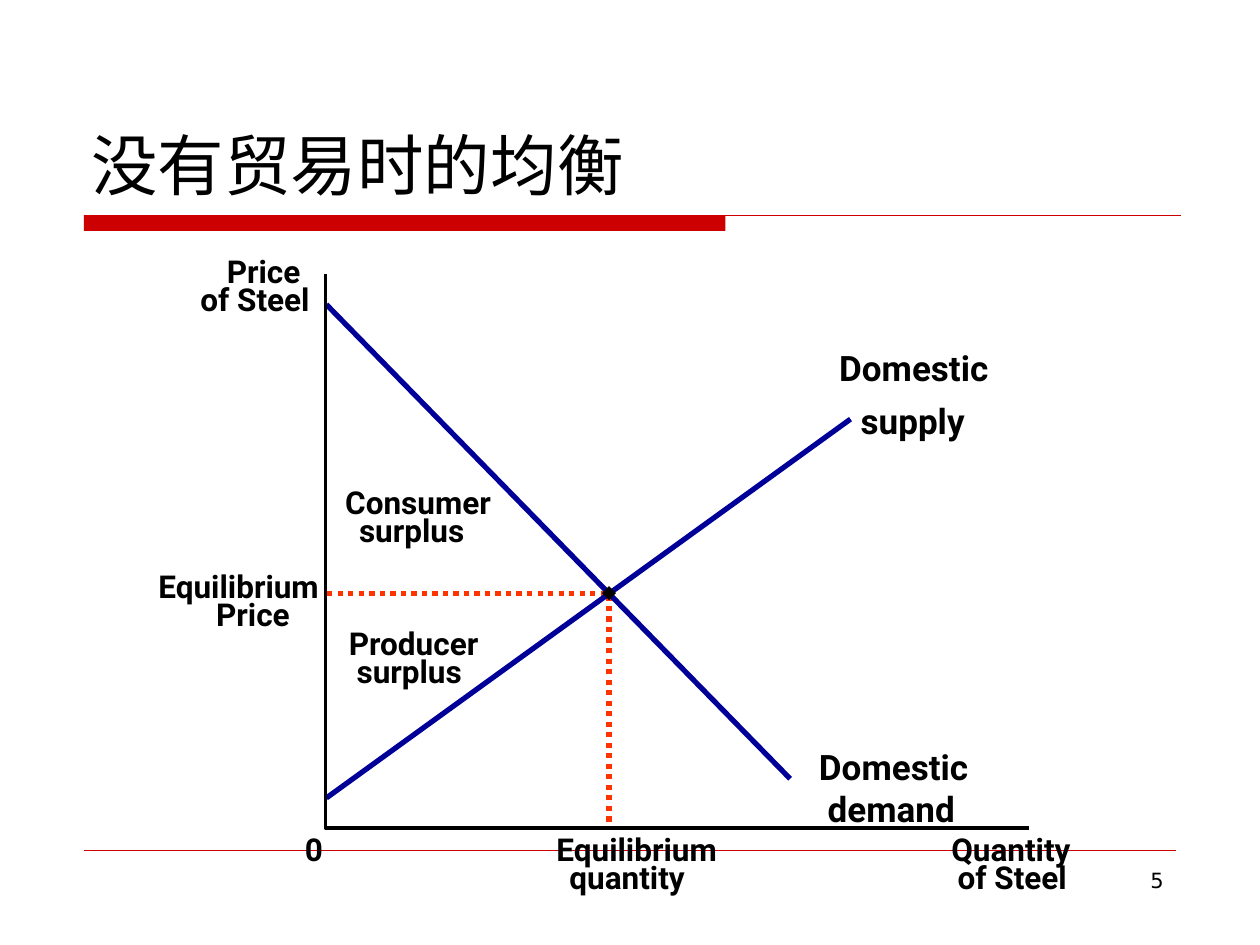
from lxml.etree import SubElement
from pptx import Presentation
from pptx.dml.color import RGBColor
from pptx.enum.dml import MSO_LINE
from pptx.enum.shapes import MSO_CONNECTOR, MSO_SHAPE
from pptx.enum.text import MSO_ANCHOR, PP_ALIGN
from pptx.oxml.ns import qn
from pptx.util import Pt

TITLE = "没有贸易时的均衡"
PAGE = "5"
RED, BLUE, ORANGE, BLACK, WHITE = "CC0000", "000099", "FF3300", "000000", "FFFFFF"
LATIN, SANS = "Roboto", "DejaVu Sans"

# Chart geometry
ORIGIN = (186, 473)
PRICE_TOP = (186, 156.5)
QUANTITY_END = (588, 473)
EQUILIBRIUM = (348, 339)
SUPPLY = ((186.5, 456), (486, 239.5))
DEMAND = ((186.5, 174), (451.5, 445))
DOT = 8

# size, top, line pitch, alignment, [(text, left, width)]
LEFT, RIGHT = PP_ALIGN.LEFT, PP_ALIGN.RIGHT
LABELS = [
    (18, 144, 16, LEFT, [("Price", 129.6, 44.6), ("of Steel", 114.5, 67.7)]),
    (18, 324, 16, RIGHT, [("Equilibrium", 77.8, 104.4), ("Price", 121, 44.6)]),
    (18, 474.5, 16, LEFT, [("0", 174.2, 10)]),
    (18, 474.5, 16, LEFT, [("Quantity", 543.6, 80), ("of Steel", 547.2, 67.7)]),
    (18, 474.5, 16, LEFT, [("Equilibrium", 318, 104.4), ("quantity", 325.4, 77)]),
    (20, 198, 30, LEFT, [("Domestic", 479.5, 93.6), ("supply", 491.8, 66.2)]),
    (20, 426, 24, LEFT, [("Domestic", 468, 93.6), ("demand", 473, 82)]),
    (18, 356.4, 16, LEFT, [("Producer", 199.4, 82), ("surplus", 203.8, 67)]),
    (18, 275.8, 16, LEFT, [("Consumer", 197.3, 91.4), ("surplus", 205.2, 67)]),
]

prs = Presentation()
prs.slide_width, prs.slide_height = Pt(720), Pt(540)
slide = prs.slides.add_slide(prs.slide_layouts[5])
shapes = slide.shapes


def rgb(value):
    return RGBColor.from_string(value)


def paint(sp, fill=None, line=None, width=1):
    sp.shadow.inherit = False
    if fill:
        sp.fill.solid()
        sp.fill.fore_color.rgb = rgb(fill)
    else:
        sp.fill.background()
    if line:
        sp.line.color.rgb = rgb(line)
        sp.line.width = Pt(width)
    else:
        sp.line.fill.background()


def straight(start, end, color, width):
    line = shapes.add_connector(MSO_CONNECTOR.STRAIGHT, *map(Pt, start + end))
    line.line.color.rgb = rgb(color)
    line.line.width = Pt(width)
    SubElement(line._element.spPr, qn("a:effectLst"))


def path_through(points, close=False, **look):
    """Draw a freeform through the points, given in points of length."""
    first, *rest = [(Pt(x), Pt(y)) for x, y in points]
    builder = shapes.build_freeform(*first)
    builder.add_line_segments(rest, close=close)
    sp = builder.convert_to_shape()
    paint(sp, **look)
    return sp


def write(sp, text, size, font, align=LEFT, **frame):
    tf = sp.text_frame
    for name, value in frame.items():
        setattr(tf, name, value)
    p = tf.paragraphs[0]
    p.alignment = align
    r = p.add_run()
    r.text = text
    for name, value in {"size": Pt(size), "name": font, "bold": font == LATIN}.items():
        setattr(r.font, name, value)
    r.font.color.rgb = rgb(BLACK)


def box(left, top, width, height):
    return shapes.add_textbox(Pt(left), Pt(top), Pt(width), Pt(height))


# Title, header rule and footer rule
title = shapes.title
title.left, title.top, title.width, title.height = map(Pt, (45, 24, 630, 96))
write(title, TITLE, 38, SANS, vertical_anchor=MSO_ANCHOR.BOTTOM, word_wrap=True)
bar = shapes.add_shape(MSO_SHAPE.RECTANGLE, Pt(48), Pt(123), Pt(366.5), Pt(9))
paint(bar, fill=RED)
straight((48, 123), (675, 123), RED, 0.75)
straight((48, 486), (672, 486), RED, 0.25)

# Surplus areas between the price axis and each curve
price_point = (ORIGIN[0], EQUILIBRIUM[1])
for curve in (SUPPLY, DEMAND):
    corner = (ORIGIN[0], curve[0][1])
    path_through([EQUILIBRIUM, price_point, corner], close=True, fill=WHITE)

# Guides, labels, curves, axes and equilibrium point
guide = path_through([(187, EQUILIBRIUM[1]), EQUILIBRIUM, (EQUILIBRIUM[0], ORIGIN[1])],
                     line=ORANGE, width=3)
guide.line.dash_style = MSO_LINE.ROUND_DOT

no_margins = dict.fromkeys(
    ("margin_left", "margin_top", "margin_right", "margin_bottom"), 0)
for size, top, pitch, align, lines in LABELS:
    for i, (text, left, width) in enumerate(lines):
        write(box(left, top + i * pitch, width, size * 1.2), text, size, LATIN,
              align, word_wrap=False, **no_margins)

for curve in (SUPPLY, DEMAND):
    straight(*curve, BLUE, 3)
path_through([PRICE_TOP, ORIGIN, QUANTITY_END], line=BLACK, width=2.25)
x, y = EQUILIBRIUM
dot = shapes.add_shape(MSO_SHAPE.DIAMOND, Pt(x - DOT / 2), Pt(y - DOT / 2), Pt(DOT), Pt(DOT))
paint(dot, fill=BLACK)

write(box(516, 492, 156, 37.5), PAGE, 12, SANS, RIGHT, word_wrap=True)

prs.save("out.pptx")
